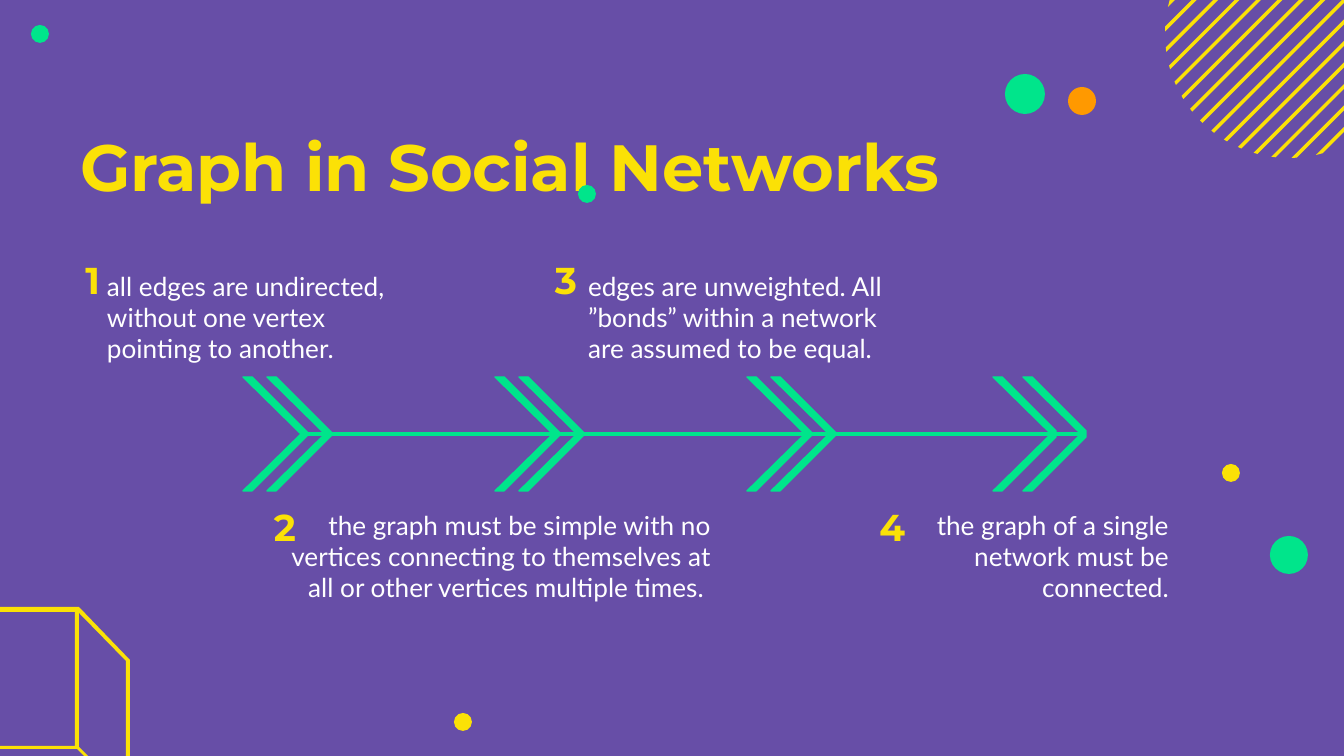
"""Build the slide "Graph in Social Networks"."""
from math import sqrt

from lxml import etree
from pptx import Presentation
from pptx.dml.color import RGBColor
from pptx.enum.shapes import MSO_CONNECTOR, MSO_SHAPE
from pptx.enum.text import MSO_ANCHOR, MSO_AUTO_SIZE, PP_ALIGN
from pptx.oxml.ns import qn
from pptx.util import Emu, Pt

STRAIGHT = MSO_CONNECTOR.STRAIGHT
OVAL = MSO_SHAPE.OVAL
TOP, BOTTOM = MSO_ANCHOR.TOP, MSO_ANCHOR.BOTTOM
LEFT, RIGHT = PP_ALIGN.LEFT, PP_ALIGN.RIGHT
NO_AUTOFIT = MSO_AUTO_SIZE.NONE

PURPLE = RGBColor(0x67, 0x4E, 0xA7)
YELLOW = RGBColor(0xFB, 0xE1, 0x06)
GREEN = RGBColor(0x00, 0xE5, 0x8B)
ORANGE = RGBColor(0xFF, 0x99, 0x00)
WHITE = RGBColor(0xFF, 0xFF, 0xFF)

WIDTH, HEIGHT = 1344, 756
SCALE = 9144000 / WIDTH
INSET = 13

TITLE_FONT = {"name": "Montserrat", "size": Pt(35), "bold": True}
NUMBER_FONT = {"name": "Montserrat", "size": Pt(20), "bold": True}
BODY_FONT = {"name": "Lato", "size": Pt(14), "bold": False}

BACK_DOTS = [
    (463, 722, 18, YELLOW),
    (1231, 473, 18, YELLOW),
    (1082, 101, 28, ORANGE),
    (1289, 555, 38, GREEN),
    (40, 34, 18, GREEN),
]
FRONT_DOTS = [(1025, 94, 40, GREEN), (587, 194, 18, GREEN)]

CUBE = [
    [(-63, 607), (-63, 749), (-11, 801), (130, 801), (130, 660), (79, 607)],
    [(75, 612), (75, 746), (-59, 746), (-59, 612)],
    [(79, 613), (126, 661), (126, 794), (79, 747)],
    [(77, 749), (125, 797), (-9, 797), (-58, 749)],
]

DISC_X, DISC_Y, DISC_RADIUS = 1289, 34, 124
STRIPES, STRIPE_SPAN, STRIPE_WIDTH = 15, 301, 5

AXIS_Y, ARM = 434, 57
BACK_CHEVRONS = [(243, 0), (495, 0), (747, 0), (993, 3)]
FRONT_CHEVRONS = [(267, 0), (519, 0), (771, 0), (1023, 3)]

NOTES = [
    ((94, 257, 329, 91), LEFT,
     ["all edges are undirected, without one vertex pointing to another."]),
    ((575, 257, 406, 91), LEFT,
     ["edges are unweighted. All ”bonds” within a network",
      "are assumed to be equal."]),
    ((251, 496, 473, 91), RIGHT,
     [" the graph must be simple with no vertices connecting to themselves "
      "at all or other vertices multiple times. "]),
    ((829, 496, 353, 91), RIGHT,
     ["the graph of a single network must be connected."]),
]
NUMBERS = [("1", -168, 249), ("2", 28, 496), ("3", 309, 249), ("4", 637, 496)]


def px(length):
    """Turn pixels into EMU."""
    return Emu(round(length * SCALE))


def paint(shape, color):
    """Give a shape a flat fill without line or shadow."""
    shape.shadow.inherit = False
    shape.fill.solid()
    shape.fill.fore_color.rgb = color
    shape.line.fill.background()


def add_outline(shapes, contours, color):
    """Draw one filled freeform from closed contours."""
    pens = [[(px(x), px(y)) for x, y in contour] for contour in contours]
    builder = shapes.build_freeform(*pens[0][0], scale=1.0)
    builder.add_line_segments(pens[0][1:], close=True)
    for pen in pens[1:]:
        builder.move_to(*pen[0])
        builder.add_line_segments(pen[1:], close=True)
    shape = builder.convert_to_shape()
    paint(shape, color)
    return shape


def add_dots(page, dots):
    """Draw round dots given by centre, diameter and colour."""
    for x, y, size, color in dots:
        dot = page.shapes.add_shape(
            OVAL, px(x - size / 2), px(y - size / 2), px(size), px(size))
        paint(dot, color)


def chord(offset):
    """Return the ends of a rising diagonal chord of the striped disc."""
    shift = offset / 2
    reach = sqrt(DISC_RADIUS ** 2 - offset ** 2 / 2) / sqrt(2)
    return [(DISC_X + shift + side * reach, DISC_Y + shift - side * reach)
            for side in (1, -1)]


def add_striped_disc(page):
    """Draw the disc made of evenly spaced diagonal stripes."""
    group = page.shapes.add_group_shape()
    for index in range(STRIPES):
        middle = STRIPE_SPAN * (index / (STRIPES - 1) - 0.5)
        upper = chord(middle - STRIPE_WIDTH / 2)
        lower = chord(middle + STRIPE_WIDTH / 2)
        add_outline(group.shapes, [upper + lower[::-1]], YELLOW)


def add_chevrons(page, chevrons):
    """Draw chevrons on the axis, with the tip cut off where asked."""
    for left, cut in chevrons:
        top, bottom = AXIS_Y - ARM, AXIS_Y + ARM
        tip = left + 66 - cut
        points = [(tip, AXIS_Y - cut), (left + 9, top), (left, top),
                  (left + 58, AXIS_Y), (left, bottom), (left + 9, bottom),
                  (tip, AXIS_Y + cut)]
        shape = add_outline(page.shapes, [points], GREEN)
        shape.line.color.rgb = GREEN
        shape.line.width = Pt(0.75)


def add_axis(page):
    """Draw the line through the chevrons."""
    axis = page.shapes.add_connector(
        STRAIGHT, px(301), px(AXIS_Y), px(1085), px(AXIS_Y))
    axis.line.color.rgb = GREEN
    axis.line.width = Pt(2.25)
    etree.SubElement(axis._element.spPr, qn("a:effectLst"))


def write(box, lines, font, color, align, anchor=TOP):
    """Fill a text box or placeholder with formatted paragraphs."""
    frame = box.text_frame
    layout = {"word_wrap": True, "auto_size": NO_AUTOFIT,
              "vertical_anchor": anchor}
    layout.update({f"margin_{side}": px(INSET)
                   for side in ("left", "top", "right", "bottom")})
    for name, value in layout.items():
        setattr(frame, name, value)
    for index, line in enumerate(lines):
        para = frame.add_paragraph() if index else frame.paragraphs[0]
        para.alignment = align
        span = para.add_run()
        span.text = line
        for name, value in font.items():
            setattr(span.font, name, value)
        span.font.color.rgb = color


def add_title(page):
    """Place and fill the title placeholder."""
    title = page.shapes.title
    place = {"left": 67, "top": 113, "width": 1067, "height": 90}
    for name, value in place.items():
        setattr(title, name, px(value))
    write(title, ["Graph in Social Networks"], TITLE_FONT, YELLOW, LEFT)


def add_text(page, place, *content):
    """Add a text box at a place given in pixels."""
    box = page.shapes.add_textbox(*map(px, place))
    write(box, *content)


def main():
    """Build and save the deck."""
    deck = Presentation()
    deck.slide_width, deck.slide_height = px(WIDTH), px(HEIGHT)
    page = deck.slides.add_slide(deck.slide_layouts[5])
    page.background.fill.solid()
    page.background.fill.fore_color.rgb = PURPLE
    add_title(page)
    add_dots(page, BACK_DOTS)
    add_outline(page.shapes, CUBE, YELLOW)
    add_striped_disc(page)
    add_dots(page, FRONT_DOTS)
    add_chevrons(page, BACK_CHEVRONS)
    add_axis(page)
    add_chevrons(page, FRONT_CHEVRONS)
    for place, align, lines in NOTES:
        add_text(page, place, lines, BODY_FONT, WHITE, align)
    for number, left, top in NUMBERS:
        add_text(page, (left, top, 281, 66), [number], NUMBER_FONT, YELLOW,
                 RIGHT, BOTTOM)
    deck.save("out.pptx")


if __name__ == "__main__":
    main()
